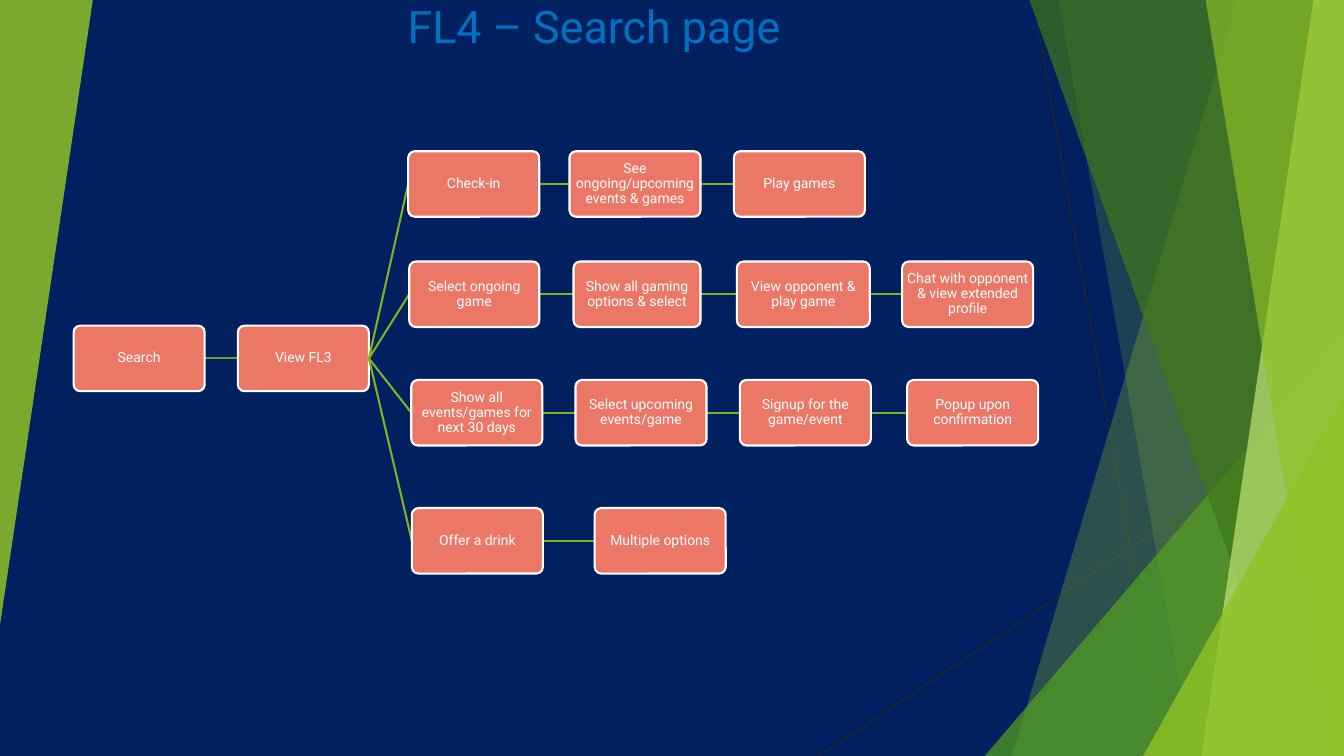
from lxml import etree
from pptx import Presentation
from pptx.dml.color import RGBColor
from pptx.enum.shapes import MSO_CONNECTOR as CONN, MSO_SHAPE as SHAPE
from pptx.enum.text import MSO_ANCHOR as ANCHOR, PP_ALIGN as ALIGN
from pptx.oxml.ns import qn
from pptx.util import Pt


def rgb(color):
    return RGBColor.from_string(color)


def add_line(x1, y1, x2, y2, color, width):
    line = s.shapes.add_connector(CONN.STRAIGHT, Pt(x1), Pt(y1), Pt(x2), Pt(y2))
    line.line.color.rgb = rgb(color)
    line.line.width = Pt(width)
    etree.SubElement(line._element.spPr, qn("a:effectLst"))


W, H = 960, 540
prs = Presentation()
prs.slide_width, prs.slide_height = Pt(W), Pt(H)
s = prs.slides.add_slide(prs.slide_layouts[6])
s.background.fill.solid()
s.background.fill.fore_color.rgb = rgb("002060")

# Decorative facets
add_line(738, 0, 833.8, H, "262626", 0.75)
add_line(W, 290.2, 584.6, H, "262626", 0.75)

# Bands reach the right edge: (top-left x, bottom-left x)
# Triangles: (left, top, width, height, rotation)
facets = [
    ((884.2, 722.9), "90C226", 30),
    ((756, 851.8), "90C226", 20),
    ((703.4, 239.8, 256.6, 300.2, 0), "54A021", 72),
    ((735.1, 929.5), "3F7819", 70),
    ((938.2, 858.2), "C0E474", 70),
    ((861.1, 949), "90C226", 65),
    ((816.5, 283, 143.5, 257, 0), "90C226", 80),
    ((0, 0, 66.3, 446.4, 180), "90C226", 85),
]
for geometry, color, opacity in facets:
    if len(geometry) == 2:
        top_x, bottom_x = geometry
        band = s.shapes.build_freeform(Pt(top_x), Pt(-0.6))
        band.add_line_segments([(Pt(W), Pt(-0.6)), (Pt(W), Pt(H)), (Pt(bottom_x), Pt(H))])
        facet = band.convert_to_shape()
    else:
        *frame, rotation = geometry
        facet = s.shapes.add_shape(SHAPE.ISOSCELES_TRIANGLE, *map(Pt, frame))
        facet.adjustments[0] = 1
        facet.rotation = rotation
    facet.shadow.inherit = False
    facet.fill.solid()
    facet.fill.fore_color.rgb = rgb(color)
    facet.line.fill.background()
    clr = facet._element.spPr.find(f"{qn('a:solidFill')}/{qn('a:srgbClr')}")
    etree.SubElement(clr, qn("a:alpha"), val=str(opacity * 1000))

# Title
title = s.shapes.add_textbox(Pt(118.8), Pt(2.9), Pt(611.3), Pt(38.2))
tf = title.text_frame
tf.word_wrap = True
tf.vertical_anchor = ANCHOR.BOTTOM
p = tf.paragraphs[0]
p.alignment = ALIGN.CENTER
r = p.add_run()
r.text = "FL4 – Search page"
r.font.name, r.font.size = "Roboto", Pt(32)
r.font.color.rgb = rgb("0070C0")

# Flow rows: top, then (left, width, text) for each step
BOX_W, BOX_H = 93.6, 46.8
ROOT_TOP = 232.6
rows = [
    (ROOT_TOP, [(52.6, BOX_W, "Search"), (169.9, BOX_W, "View FL3")]),
    (108, [(291.6, BOX_W, "Check-in"),
           (406.8, BOX_W, "See ongoing/upcoming events & games"),
           (524.2, BOX_W, "Play games")]),
    (186.8, [(292.3, 92.9, "Select ongoing game"),
             (409.7, 90.7, "Show all gaming options & select"),
             (526.3, 95, "View opponent & play game"),
             (644.4, BOX_W, "Chat with opponent & view extended profile")]),
    (271.4, [(293.8, BOX_W, "Show all events/games for next 30 days"),
             (411.1, BOX_W, "Select upcoming events/game"),
             (528.5, BOX_W, "Signup for the game/event"),
             (648, BOX_W, "Popup upon confirmation")]),
    (362.9, [(294.2, BOX_W, "Offer a drink"), (424.8, BOX_W, "Multiple options")]),
]
fork_x, fork_y = 169.9 + BOX_W, ROOT_TOP + BOX_H / 2

for top, steps in rows:
    mid_y = top + BOX_H / 2
    is_root = top == ROOT_TOP
    if not is_root:
        add_line(fork_x, fork_y, steps[0][0], mid_y, "83B022", 1.5)
    for (left, width, _), (next_left, _, _) in zip(steps, steps[1:]):
        add_line(left + width, mid_y, next_left, mid_y, "739B1E" if is_root else "83B022", 1.5)
    for left, width, text in steps:
        box = s.shapes.add_shape(SHAPE.ROUNDED_RECTANGLE, Pt(left), Pt(top), Pt(width), Pt(BOX_H))
        box.adjustments[0] = 0.1
        box.shadow.inherit = False
        box.fill.solid()
        box.fill.fore_color.rgb = rgb("EB7766")
        box.line.color.rgb = rgb("FFFFFF")
        box.line.width = Pt(1.5)
        tf = box.text_frame
        tf.word_wrap = True
        tf.vertical_anchor = ANCHOR.MIDDLE
        for side in ("left", "right", "top", "bottom"):
            setattr(tf, f"margin_{side}", Pt(0.7))
        p = tf.paragraphs[0]
        p.alignment = ALIGN.CENTER
        p.line_spacing = 0.9
        r = p.add_run()
        r.text = text
        r.font.name, r.font.size = "Roboto", Pt(10)
        r.font.color.rgb = rgb("FFFFFF")

prs.save("out.pptx")
